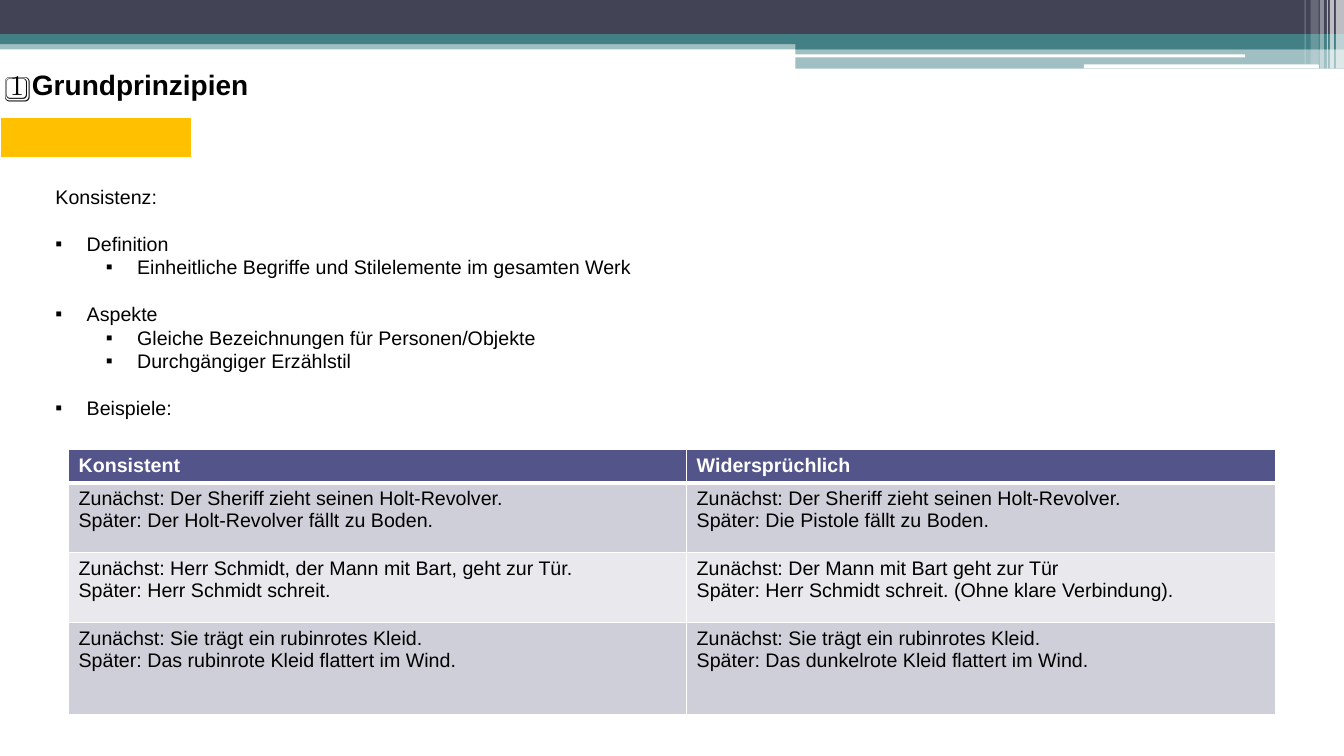
from lxml.etree import SubElement
from pptx import Presentation
from pptx.dml.color import RGBColor
from pptx.enum.shapes import MSO_SHAPE
from pptx.enum.text import MSO_ANCHOR, MSO_AUTO_SIZE, PP_ALIGN
from pptx.oxml.ns import qn
from pptx.util import Inches, Pt

WIDTH, HEIGHT = Inches(13.33), Inches(7.5)
FONT = "Arial"
BLACK = RGBColor(0x00, 0x00, 0x00)
WHITE = RGBColor(0xFF, 0xFF, 0xFF)
SLATE = RGBColor(0x42, 0x44, 0x56)
TEAL = RGBColor(0x43, 0x80, 0x86)
AMBER = RGBColor(0xFF, 0xC0, 0x00)
INDIGO = RGBColor(0x53, 0x54, 0x8A)
DARK_ROW = RGBColor(0xCF, 0xCF, 0xD9)
LIGHT_ROW = RGBColor(0xE9, 0xE9, 0xED)

BANDS = [
    ((0, 5.33, 100, 1.2), TEAL, 50),
    ((0, 0, 100, 4.53), SLATE, 100),
    ((0, 4.53, 100, 1.33), TEAL, 100),
    ((59.19, 5.2, 40.81, 1.33), TEAL, 100),
    ((59.19, 6.4, 40.81, 2.67), TEAL, 50),
]
SLITS = [(59.11, 7.2, 33.53, 0.4), (80.65, 8.53, 17.48, 0.53)]
STRIPES = [
    (99.4, 0.6, 9.07, 65),
    (98.95, 0.3, 9.07, 65),
    (98.72, 0.08, 9.07, 60),
    (98.2, 0.3, 9.07, 40),
    (97.52, 0.6, 8.53, 20),
    (97.07, 0.08, 8.53, 30),
]
OUTLINE = [
    ("Konsistenz:", None),
    ("Definition", 0),
    ("Einheitliche Begriffe und Stilelemente im gesamten Werk", 1),
    ("Aspekte", 0),
    ("Gleiche Bezeichnungen für Personen/Objekte", 1),
    ("Durchgängiger Erzählstil", 1),
    ("Beispiele:", 0),
]
EXAMPLES = [
    ("Konsistent", "Widersprüchlich"),
    ("Zunächst: Der Sheriff zieht seinen Holt-Revolver.\nSpäter: Der Holt-Revolver fällt zu Boden.",
     "Zunächst: Der Sheriff zieht seinen Holt-Revolver.\nSpäter: Die Pistole fällt zu Boden."),
    ("Zunächst: Herr Schmidt, der Mann mit Bart, geht zur Tür.\nSpäter: Herr Schmidt schreit.",
     "Zunächst: Der Mann mit Bart geht zur Tür\nSpäter: Herr Schmidt schreit. (Ohne klare Verbindung)."),
    ("Zunächst: Sie trägt ein rubinrotes Kleid.\nSpäter: Das rubinrote Kleid flattert im Wind.",
     "Zunächst: Sie trägt ein rubinrotes Kleid.\nSpäter: Das dunkelrote Kleid flattert im Wind."),
]


def across(percent):
    """Return a percentage of the slide's width."""
    return round(WIDTH * percent / 100)


def down(percent):
    """Return a percentage of the slide's height."""
    return round(HEIGHT * percent / 100)


def area(left, top, width, height):
    """Turn percentages into a slide rectangle."""
    return across(left), down(top), across(width), down(height)


def add_band(page, place, color, opacity=100, kind=MSO_SHAPE.RECTANGLE):
    """Add one borderless strip of the header decoration."""
    band = page.shapes.add_shape(kind, *area(*place))
    band.shadow.inherit = False
    band.line.fill.background()
    band.fill.solid()
    band.fill.fore_color.rgb = color
    if opacity < 100:
        color_node = band.fill._xPr.find(qn("a:solidFill"))[0]
        SubElement(color_node, qn("a:alpha"), val=str(opacity * 1000))


def move(box, place):
    """Place a placeholder by percentages."""
    box.left, box.top, box.width, box.height = area(*place)


def style_text(para, size, color=BLACK, bold=False):
    """Format every run of a paragraph."""
    for span in para.runs:
        span.font.name = FONT
        span.font.size = Pt(size)
        span.font.color.rgb = color
        span.font.bold = bold


def set_bullet(para, level):
    """Give a paragraph a square bullet, or none when level is None."""
    properties = para._p.get_or_add_pPr()
    if level is None:
        properties.set("marL", "0")
        properties.set("indent", "0")
        SubElement(properties, qn("a:buNone"))
        return
    para.level = level
    properties.set("marL", str(Inches(0.31 + level * 0.5)))
    properties.set("indent", str(-Inches(0.31)))
    SubElement(properties, qn("a:buFont"), typeface=FONT)
    SubElement(properties, qn("a:buChar"), char="▪")


def fill_title(box, text):
    """Fill and place the title."""
    move(box, (0, 6.93, 100, 8.4))
    box.text_frame.text = text
    box.text_frame.vertical_anchor = MSO_ANCHOR.MIDDLE
    box.text_frame.auto_size = MSO_AUTO_SIZE.NONE
    para = box.text_frame.paragraphs[0]
    para.alignment = PP_ALIGN.LEFT
    style_text(para, 20, bold=True)


def fill_outline(box, entries):
    """Fill the body with a two-level list, spacing out its groups."""
    move(box, (3.38, 23.73, 65.57, 32.8))
    frame = box.text_frame
    frame.auto_size = MSO_AUTO_SIZE.NONE
    frame.text = "\n".join(text for text, level in entries)
    for para, (text, level) in zip(frame.paragraphs, entries):
        set_bullet(para, level)
        para.line_spacing = Pt(16.8)
        para.space_before = Pt(16.8 if level == 0 else 0)
        style_text(para, 14)


def style_cell(cell, color, bottom=1):
    """Give a cell white borders and a plain fill."""
    properties = cell._tc.get_or_add_tcPr()
    for side, width in (("L", 1), ("R", 1), ("T", 1), ("B", bottom)):
        line = SubElement(properties, qn(f"a:ln{side}"), w=str(Pt(width)))
        paint = SubElement(line, qn("a:solidFill"))
        SubElement(paint, qn("a:srgbClr"), val=str(WHITE))
    cell.fill.solid()
    cell.fill.fore_color.rgb = color


def add_grid(page, left, top, columns, rows):
    """Add an empty table with the given column and row shares."""
    place = area(left, top, sum(columns), sum(rows))
    table = page.shapes.add_table(len(rows), len(columns), *place).table
    for column, share in zip(table.columns, columns):
        column.width = across(share)
    for row, share in zip(table.rows, rows):
        row.height = down(share)
    return table


def add_progress(page, steps, current):
    """Add the progress bar with its current step highlighted."""
    table = add_grid(page, 0, 15.47, [100 / steps] * steps, [5.6])
    for index, cell in enumerate(table.rows[0].cells):
        style_cell(cell, AMBER if index == current else WHITE, bottom=3)


def add_examples(page, examples):
    """Add the table of contrasting examples."""
    table = add_grid(page, 5.1, 59.47, [45.99, 43.81], [4.4, 9.2, 9.33, 12.13])
    for index, (row, texts) in enumerate(zip(table.rows, examples)):
        header = index == 0
        color = INDIGO if header else DARK_ROW if index % 2 else LIGHT_ROW
        for cell, text in zip(row.cells, texts):
            style_cell(cell, color, bottom=3 if header else 1)
            cell.text_frame.text = text
            for para in cell.text_frame.paragraphs:
                style_text(para, 14, WHITE if header else BLACK, header)


def main():
    """Build and save the slide."""
    deck = Presentation()
    deck.slide_width, deck.slide_height = WIDTH, HEIGHT
    page = deck.slides.add_slide(deck.slide_layouts[1])
    for place, color, opacity in BANDS:
        add_band(page, place, color, opacity)
    for place in SLITS:
        add_band(page, place, WHITE, kind=MSO_SHAPE.ROUNDED_RECTANGLE)
    for left, width, height, opacity in STRIPES:
        add_band(page, (left, 0, width, height), WHITE, opacity)
    fill_title(page.shapes.title, "1️⃣ Grundprinzipien")
    add_progress(page, steps=7, current=0)
    fill_outline(page.placeholders[1], OUTLINE)
    add_examples(page, EXAMPLES)
    deck.save("out.pptx")


if __name__ == "__main__":
    main()
